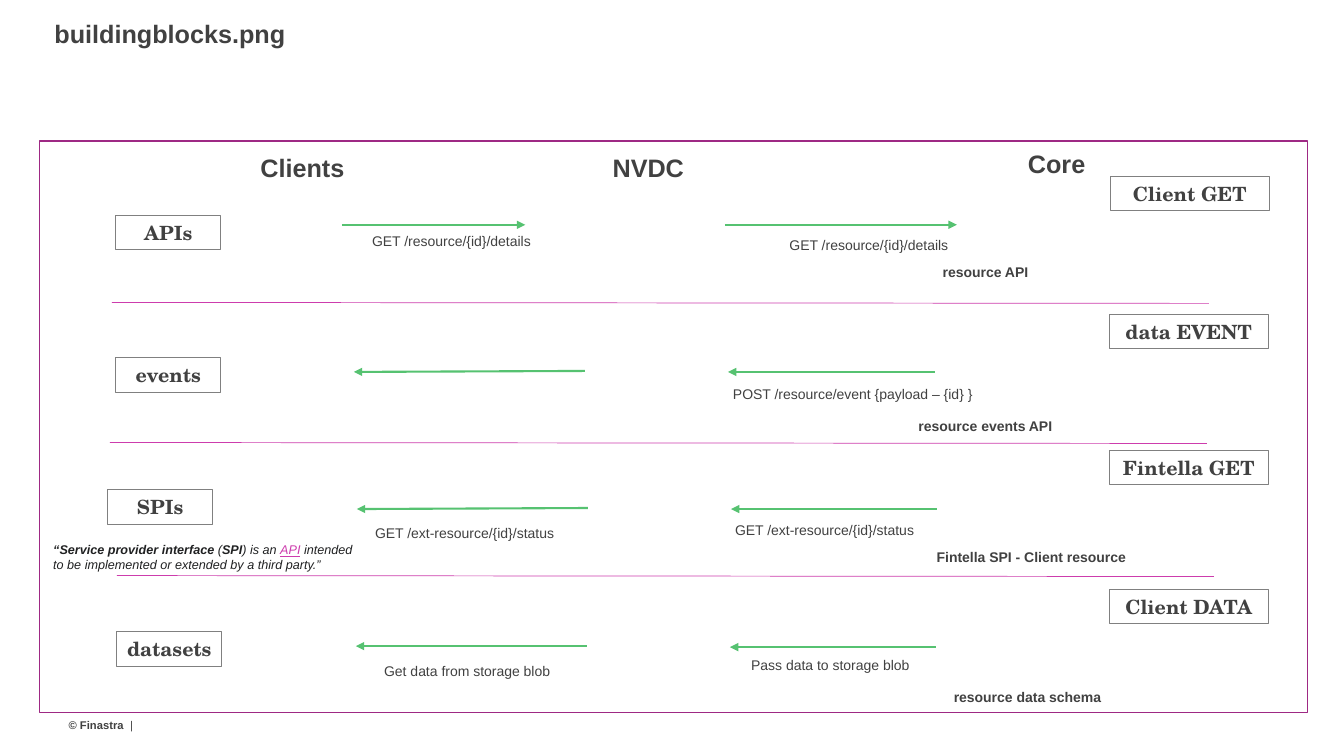
from lxml.etree import SubElement
from pptx import Presentation
from pptx.dml.color import RGBColor
from pptx.enum.shapes import MSO_CONNECTOR, MSO_SHAPE
from pptx.enum.text import MSO_ANCHOR, PP_ALIGN
from pptx.oxml.ns import qn
from pptx.util import Inches, Pt

DARK_GRAY = RGBColor(0x41, 0x41, 0x41)
MID_GRAY = RGBColor(0x80, 0x80, 0x80)
INK = RGBColor(0x20, 0x21, 0x22)
GREEN = RGBColor(0x56, 0xC2, 0x71)
PINK = RGBColor(0xCD, 0x3C, 0xAD)
PURPLE = RGBColor(0x9E, 0x29, 0x84)

COLUMN_TITLES = [("Clients", 2.5, 1.51), ("NVDC", 5.93, 1.51), ("Core", 9.98, 1.47)]
ROW_LABELS = [("APIs", 1.15, 2.14), ("events", 1.15, 3.55), ("SPIs", 1.07, 4.86), ("datasets", 1.16, 6.27)]
ACTION_LABELS = [
    ("Client GET", 11.01, 1.75),
    ("data EVENT", 11, 3.12),
    ("Fintella GET", 11, 4.47),
    ("Client DATA", 11, 5.85),
]
DIVIDERS = [(1.11, 3), (1.09, 4.39), (1.16, 5.71)]
ARROWS = [
    (3.39, 2.23, 5.21, 2.23),
    (7.19, 2.23, 9.49, 2.23),
    (5.8, 3.68, 3.51, 3.69),
    (9.27, 3.69, 7.22, 3.69),
    (5.83, 5.04, 3.54, 5.05),
    (9.29, 5.05, 7.25, 5.05),
    (5.82, 6.41, 3.53, 6.41),
    (9.28, 6.42, 7.24, 6.42),
]
CALLS = [
    ("GET /resource/{id}/details", 3.69, 2.31, 1.75),
    ("GET /resource/{id}/details", 7.83, 2.35, 1.75),
    ("POST /resource/event {payload – {id} }", 7.27, 3.82, 2.5),
    ("GET /ext-resource/{id}/status", 3.72, 5.2, 1.95),
    ("GET /ext-resource/{id}/status", 7.29, 5.17, 1.95),
    ("Get data from storage blob", 3.81, 6.57, 1.75),
    ("Pass data to storage blob", 7.45, 6.51, 1.75),
]
RESOURCES = [
    ("resource API", 9.35, 2.61, 1.63),
    ("resource events API", 9.11, 4.14, 1.63),
    ("Fintella SPI - Client resource", 9.29, 5.44, 2.1),
    ("resource data schema", 9.46, 6.83, 1.63),
]
DEFINITION = [
    ("“Service provider interface", {"bold": True}),
    (" (", {}),
    ("SPI", {"bold": True}),
    (") is an ", {}),
    ("API", {"color": PINK, "underline": True}),
    (" intended to be implemented or extended by a third party.”", {}),
]


def add_run(paragraph, text, size=10, font="Arial", color=DARK_GRAY, bold=False, italic=False, underline=False):
    run = paragraph.add_run()
    run.text = text
    run.font.size = Pt(size)
    run.font.name = font
    run.font.color.rgb = color
    run.font.bold = bold
    run.font.italic = italic
    run.font.underline = underline


class BuildingBlocksSlide:
    def __init__(self, presentation):
        self.shapes = presentation.slides.add_slide(presentation.slide_layouts[6]).shapes

    def text_box(self, runs, left, top, width, height, inset=0, wrap=False,
                 align=PP_ALIGN.LEFT, anchor=MSO_ANCHOR.TOP, **style):
        box = self.shapes.add_textbox(Inches(left), Inches(top), Inches(width), Inches(height))
        frame = box.text_frame
        frame.word_wrap = wrap
        frame.vertical_anchor = anchor
        frame.margin_left = frame.margin_right = Inches(inset)
        frame.margin_top = frame.margin_bottom = Inches(inset / 2)
        paragraph = frame.paragraphs[0]
        paragraph.alignment = align
        for text, changes in runs:
            add_run(paragraph, text, **{**style, **changes})

    def text(self, text, left, top, width, height, **style):
        self.text_box([(text, {})], left, top, width, height, **style)

    def rectangle(self, left, top, width, height, color, weight):
        shape = self.shapes.add_shape(
            MSO_SHAPE.RECTANGLE, Inches(left), Inches(top), Inches(width), Inches(height))
        shape.shadow.inherit = False
        shape.fill.background()
        shape.line.color.rgb = color
        shape.line.width = Pt(weight)
        return shape

    def label(self, text, left, top, width):
        shape = self.rectangle(left, top, width, 0.34, MID_GRAY, 0.75)
        shape.text_frame.word_wrap = False
        paragraph = shape.text_frame.paragraphs[0]
        paragraph.alignment = PP_ALIGN.CENTER
        add_run(paragraph, text, size=14, font="TeX Gyre Schola", bold=True)

    def line(self, start_x, start_y, end_x, end_y, color, weight, arrow=False):
        connector = self.shapes.add_connector(
            MSO_CONNECTOR.STRAIGHT, Inches(start_x), Inches(start_y), Inches(end_x), Inches(end_y))
        connector.line.color.rgb = color
        connector.line.width = Pt(weight)
        if arrow:
            SubElement(connector.line._get_or_add_ln(), qn("a:tailEnd"), type="triangle")
        SubElement(connector._element.spPr, qn("a:effectLst"))


def main():
    presentation = Presentation()
    presentation.slide_width = Inches(13.33)
    presentation.slide_height = Inches(7.5)
    slide = BuildingBlocksSlide(presentation)

    slide.text_box([("© Finastra  ", {"bold": True}), ("|", {})], 0.68, 6.99, 1.01, 0.4,
                   wrap=True, anchor=MSO_ANCHOR.MIDDLE, size=8)
    slide.text("buildingblocks.png", 0.54, 0.18, 3.21, 0.48, wrap=True, size=18, bold=True)
    slide.rectangle(0.39, 1.4, 12.58, 5.67, PURPLE, 1)

    for title, left, top in COLUMN_TITLES:
        slide.text(title, left, top, 1, 0.29, align=PP_ALIGN.CENTER, size=18, bold=True)
    for left, top in DIVIDERS:
        slide.line(left, top, left + 10.88, top + 0.01, PINK, 0.5)
    for arrow in ARROWS:
        slide.line(*arrow, GREEN, 1.5, arrow=True)
    for label, left, top in ROW_LABELS:
        slide.label(label, left, top, 1.04)
    for label, left, top in ACTION_LABELS:
        slide.label(label, left, top, 1.58)
    for call, left, top, width in CALLS:
        slide.text(call, left, top, width, 0.24)
    for resource, left, top, width in RESOURCES:
        slide.text(resource, left, top, width, 0.22, bold=True)
    slide.text_box(DEFINITION, 0.43, 5.33, 3.17, 0.4, inset=0.1, wrap=True,
                   size=9, color=INK, italic=True)

    presentation.save("out.pptx")


if __name__ == "__main__":
    main()
